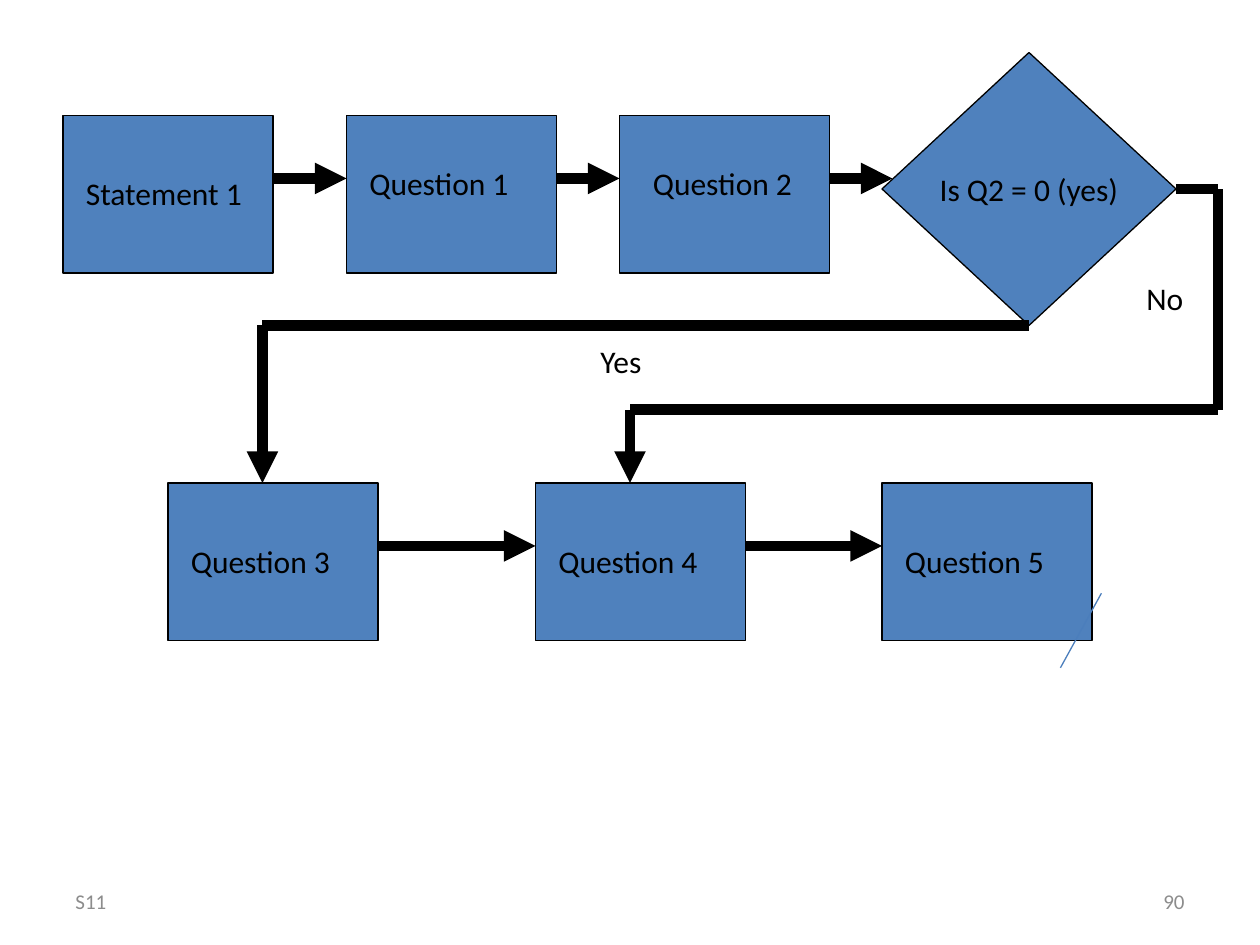
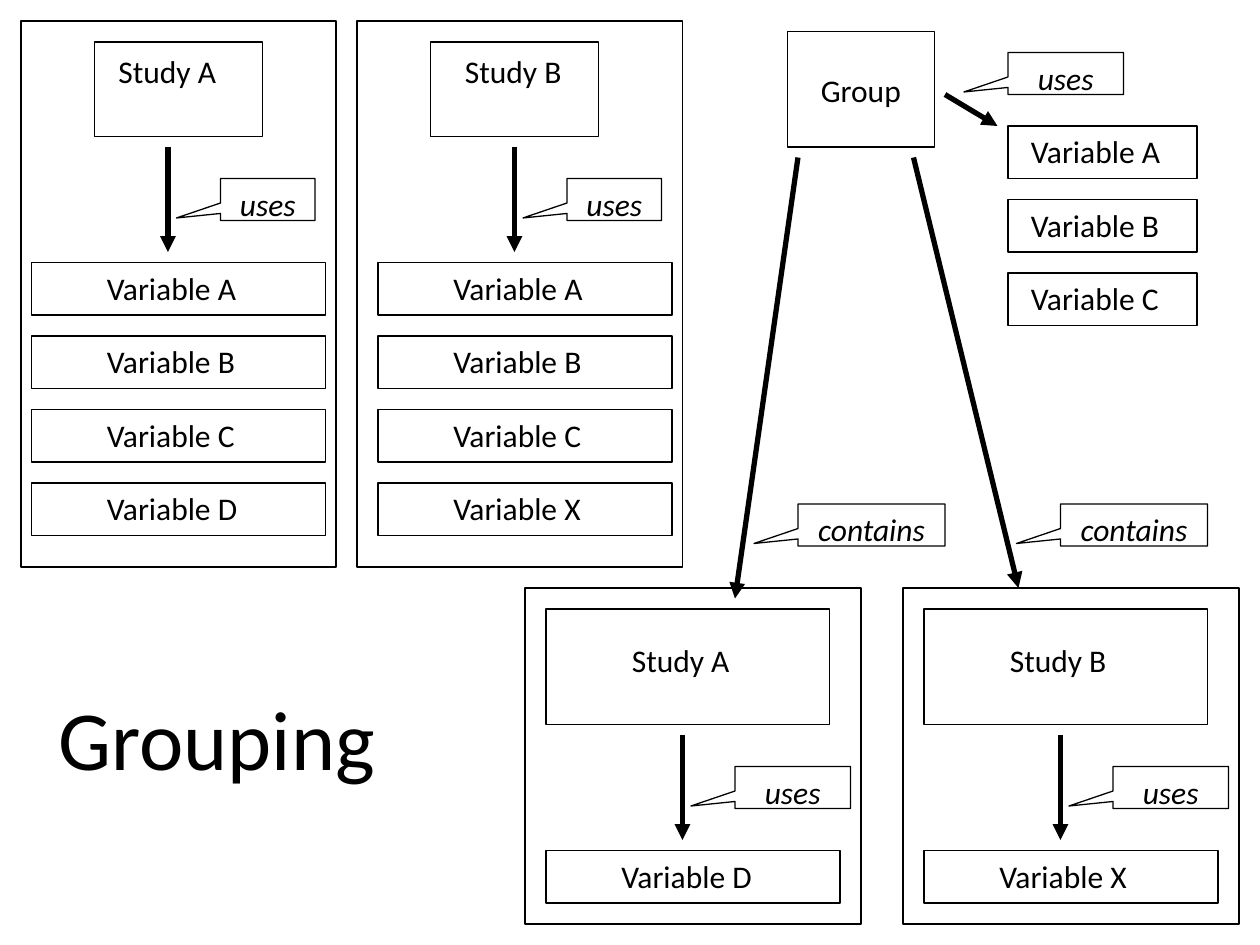
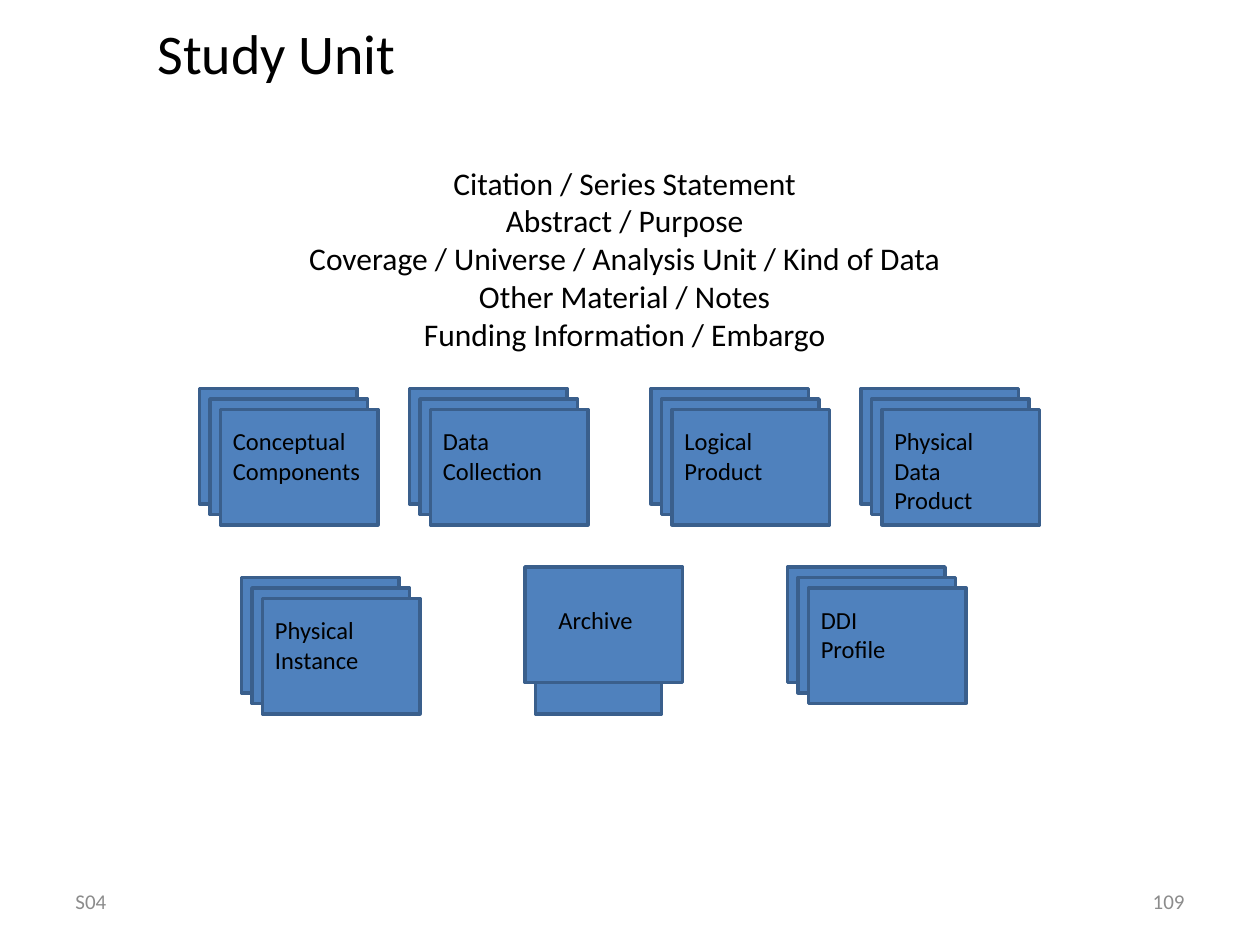
from dataclasses import dataclass
from itertools import pairwise
from typing import NamedTuple, Optional

from pptx import Presentation
from pptx.dml.color import RGBColor
from pptx.enum.shapes import MSO_CONNECTOR, MSO_SHAPE
from pptx.enum.text import MSO_ANCHOR, MSO_AUTO_SIZE, PP_ALIGN
from pptx.oxml.ns import qn
from pptx.oxml.xmlchemy import OxmlElement
from pptx.shapes.autoshape import Shape
from pptx.shapes.connector import Connector
from pptx.slide import Slide
from pptx.util import Emu, Pt

PX = 7620
FONT = "Calibri"
COLORS = {
    "ink": "000000",
    "blue": "4F81BD",
    "edge": "3A5F8C",
    "stroke": "4B7EBC",
    "muted": "8C8C8C",
}
LABEL_HEIGHT = 48
CALLOUT_HEIGHT = 40
CALLOUT_REACH = 42
VARIABLE_HEIGHT = 50
VARIABLE_STEP = 70
CARD_STEP = 10


class Box(NamedTuple):
    """A rectangle in px."""

    left: int
    top: int
    width: int
    height: int


class Point(NamedTuple):
    """A position in px."""

    x: int
    y: int


@dataclass(frozen=True)
class TextStyle:
    """How the runs and paragraphs of a box look."""

    size: int = 18
    color: str = "ink"
    italic: bool = False
    align: PP_ALIGN = PP_ALIGN.LEFT
    anchor: MSO_ANCHOR = MSO_ANCHOR.TOP
    wrap: bool = False
    grow: bool = True


@dataclass(frozen=True)
class ShapeStyle:
    """Fill and outline of a shape."""

    fill: Optional[str] = None
    line: str = "ink"
    weight: float = 0.75


@dataclass(frozen=True)
class Step:
    """A flowchart box with its label."""

    text: str
    left: int
    top: int
    label: Box


@dataclass(frozen=True)
class Study:
    """A study column listing all its variables."""

    name: str
    shift: int
    frame: Box
    title_left: int
    variables: str


@dataclass(frozen=True)
class Member:
    """A study held by the group, with its own variable."""

    name: str
    shift: int
    variable: str


@dataclass(frozen=True)
class Stack:
    """A pile of three cards with a label on the front one."""

    lines: tuple[str, ...]
    left: int
    top: int
    label_width: int
    label_height: int = 68
    wrap: bool = False


LABEL = TextStyle()
CARD_LABEL = TextStyle(size=14)
OUTLINE = ShapeStyle()
FLOW = ShapeStyle(fill="blue")
CARD = ShapeStyle(fill="blue", line="edge", weight=2)

STEPS = (
    Step("Statement 1", 60, 110, Box(70, 160, 187, LABEL_HEIGHT)),
    Step("Question 1", 330, 110, Box(340, 150, 169, LABEL_HEIGHT)),
    Step("Question 2", 590, 110, Box(610, 150, 169, LABEL_HEIGHT)),
    Step("Question 3", 160, 460, Box(170, 510, 169, LABEL_HEIGHT)),
    Step("Question 4", 510, 460, Box(520, 510, 169, LABEL_HEIGHT)),
    Step("Question 5", 840, 460, Box(850, 510, 169, LABEL_HEIGHT)),
)
FLOW_ARROWS = (
    (Point(260, 170), Point(330, 170)),
    (Point(530, 170), Point(590, 170)),
    (Point(790, 170), Point(850, 170)),
    (Point(360, 520), Point(510, 520)),
    (Point(710, 520), Point(840, 520)),
)
YES_ROUTE = (Point(980, 310), Point(250, 310), Point(250, 460))
NO_ROUTE = (
    Point(1120, 180), Point(1160, 180), Point(1160, 390),
    Point(600, 390), Point(600, 460),
)
STUDIES = (
    Study("Study A", 0, Box(20, 20, 300, 520), 90, "ABCD"),
    Study("Study B", 330, Box(340, 20, 310, 520), 410, "ABCX"),
)
MEMBERS = (Member("Study A", 0, "D"), Member("Study B", 360, "X"))
STACKS = (
    Stack(("Conceptual", "Components"), 190, 370, 157),
    Stack(("Data", "Collection"), 390, 370, 127),
    Stack(("Logical", "Product"), 620, 370, 106),
    Stack(("Physical", "Data", "Product"), 820, 370, 168, 97, True),
    Stack(("Physical", "Instance"), 230, 550, 119),
    Stack(("DDI", "Profile"), 750, 540, 91),
)
SUMMARY = (
    "Citation / Series Statement",
    "Abstract / Purpose",
    "Coverage / Universe / Analysis Unit / Kind of Data",
    "Other Material / Notes",
    "Funding Information / Embargo",
)


def emu(*lengths: int) -> list[Emu]:
    """Turn px lengths into EMU."""
    return [Emu(length * PX) for length in lengths]


def rgb(name: str) -> RGBColor:
    """Look up a named colour."""
    return RGBColor.from_string(COLORS[name])


def write(shape: Shape, lines: tuple[str, ...], style: TextStyle) -> None:
    """Fill a shape with one paragraph per line."""
    frame = shape.text_frame
    frame.word_wrap = style.wrap
    frame.vertical_anchor = style.anchor
    if style.grow:
        frame.auto_size = MSO_AUTO_SIZE.SHAPE_TO_FIT_TEXT
    for index, line in enumerate(lines):
        para = frame.add_paragraph() if index else frame.paragraphs[0]
        para.alignment = style.align
        span = para.add_run()
        span.text = line
        span.font.name = FONT
        span.font.size = Pt(style.size)
        span.font.italic = style.italic
        span.font.color.rgb = rgb(style.color)


def add_text(page: Slide, box: Box, *lines: str, style: TextStyle = LABEL) -> None:
    """Place a text box."""
    write(page.shapes.add_textbox(*emu(*box)), lines, style)


def paint(shape: Shape, style: ShapeStyle) -> None:
    """Apply fill and outline without a shadow."""
    shape.shadow.inherit = False
    if style.fill:
        shape.fill.solid()
        shape.fill.fore_color.rgb = rgb(style.fill)
    else:
        shape.fill.background()
    shape.line.color.rgb = rgb(style.line)
    shape.line.width = Pt(style.weight)


def add_box(page: Slide, box: Box, style: ShapeStyle = OUTLINE,
            kind: MSO_SHAPE = MSO_SHAPE.RECTANGLE) -> Shape:
    """Draw a preset shape."""
    shape = page.shapes.add_shape(kind, *emu(*box))
    paint(shape, style)
    return shape


def add_link(page: Slide, start: Point, end: Point, weight: int = 3,
             arrow: bool = True) -> Connector:
    """Draw a straight line, with an arrowhead at its end if wanted."""
    link = page.shapes.add_connector(MSO_CONNECTOR.STRAIGHT, *emu(*start, *end))
    link.line.color.rgb = rgb("ink")
    link.line.width = Pt(weight)
    properties = link.element.spPr
    if arrow:
        head = OxmlElement("a:tailEnd")
        head.set("type", "triangle")
        properties.find(qn("a:ln")).append(head)
    properties.append(OxmlElement("a:effectLst"))
    return link


def add_route(page: Slide, points: tuple[Point, ...], source: Shape, side: int) -> None:
    """Draw a bent route that leaves a shape and ends in an arrow."""
    legs = list(pairwise(points))
    links = [add_link(page, *leg, weight=6, arrow=leg == legs[-1]) for leg in legs]
    links[0].begin_connect(source, side)


def add_callout(page: Slide, left: int, top: int, width: int, text: str) -> None:
    """Draw a speech box whose tip points left by a fixed reach."""
    callout = add_box(page, Box(left, top, width, CALLOUT_HEIGHT),
                      kind=MSO_SHAPE.RECTANGULAR_CALLOUT)
    callout.adjustments[0] = -0.5 - CALLOUT_REACH / width
    callout.adjustments[1] = 0.44
    write(callout, (text,), TextStyle(italic=True, align=PP_ALIGN.CENTER,
                                      wrap=True, grow=False))


def add_variables(page: Slide, left: int, top: int, width: int,
                  indent: int, letters: str) -> None:
    """Draw a column of variable boxes."""
    for row, letter in enumerate(letters):
        y = top + row * VARIABLE_STEP
        add_box(page, Box(left, y, width, VARIABLE_HEIGHT))
        add_text(page, Box(left + indent, y, 163, LABEL_HEIGHT), f"Variable {letter}")


def add_footer(page: Slide, section: str, number: str) -> None:
    """Write the section code and the page number."""
    for left, text, align in ((60, section, PP_ALIGN.LEFT), (860, number, PP_ALIGN.RIGHT)):
        add_text(page, Box(left, 834, 280, LABEL_HEIGHT), text,
                 style=TextStyle(size=12, color="muted", align=align,
                                 anchor=MSO_ANCHOR.MIDDLE, wrap=True, grow=False))


def draw_question_flow(page: Slide) -> None:
    """Draw the flowchart of questions."""
    for step in STEPS:
        add_box(page, Box(step.left, step.top, 200, 150), FLOW)
        add_text(page, step.label, step.text)
    decision = add_box(page, Box(840, 50, 280, 260), FLOW, MSO_SHAPE.DIAMOND)
    write(decision, ("Is Q2 = 0 (yes)",),
          TextStyle(align=PP_ALIGN.CENTER, anchor=MSO_ANCHOR.MIDDLE, grow=False))
    for start, end in FLOW_ARROWS:
        add_link(page, start, end, weight=6)
    add_route(page, YES_ROUTE, decision, 2)
    add_route(page, NO_ROUTE, decision, 3)
    add_text(page, Box(560, 320, 76, LABEL_HEIGHT), "Yes")
    add_text(page, Box(1080, 260, 62, LABEL_HEIGHT), "No")
    builder = page.shapes.build_freeform(1010, 636, scale=PX)
    builder.add_line_segments([(1049, 565)], close=False)
    paint(builder.convert_to_shape(), ShapeStyle(line="stroke"))
    add_footer(page, "S11", "90")


def draw_study(page: Slide, study: Study) -> None:
    """Draw a full study column."""
    shift = study.shift
    add_box(page, study.frame)
    add_box(page, Box(study.title_left, 40, 160, 90))
    add_text(page, Box(101 + shift, 44, 130, LABEL_HEIGHT), study.name)
    add_variables(page, 30 + shift, 250, 280, 60, study.variables)
    add_link(page, Point(160 + shift, 140), Point(160 + shift, 240))
    add_callout(page, 210 + shift, 170, 90, "uses")


def draw_member(page: Slide, member: Member) -> None:
    """Draw a study contained in the group."""
    shift = member.shift
    add_box(page, Box(500 + shift, 560, 320, 320))
    add_box(page, Box(520 + shift, 580, 270, 110))
    add_text(page, Box(590 + shift, 605, 130, LABEL_HEIGHT), member.name)
    add_variables(page, 520 + shift, 810, 280, 60, member.variable)
    add_link(page, Point(650 + shift, 700), Point(650 + shift, 800))
    add_callout(page, 700 + shift, 730, 110, "uses")


def draw_grouping(page: Slide) -> None:
    """Draw two studies and the group that shares their variables."""
    for study in STUDIES:
        draw_study(page, study)
    add_box(page, Box(750, 30, 140, 110))
    add_text(page, Box(770, 62, 108, LABEL_HEIGHT), "Group")
    add_variables(page, 960, 120, 180, 10, "ABC")
    add_link(page, Point(900, 90), Point(950, 120))
    add_callout(page, 960, 50, 110, "uses")
    for member in MEMBERS:
        draw_member(page, member)
    add_link(page, Point(760, 150), Point(700, 570))
    add_link(page, Point(870, 150), Point(970, 560))
    for left in (760, 1010):
        add_callout(page, left, 480, 140, "contains")
    add_text(page, Box(42, 648, 329, 109), "Grouping",
             style=TextStyle(size=48, align=PP_ALIGN.CENTER))


def draw_stack(page: Slide, stack: Stack) -> None:
    """Draw three cards, each one step further down and right."""
    for depth in range(3):
        offset = depth * CARD_STEP
        add_box(page, Box(stack.left + offset, stack.top + offset, 150, 110), CARD)
    add_text(page, Box(stack.left + 2 * CARD_STEP, stack.top + 3 * CARD_STEP,
                       stack.label_width, stack.label_height),
             *stack.lines, style=TextStyle(size=14, wrap=stack.wrap))


def draw_study_unit(page: Slide) -> None:
    """Draw the parts of a study unit."""
    add_text(page, Box(138, 12, 270, 76), "Study Unit", style=TextStyle(size=32))
    add_text(page, Box(230, 150, 730, 194), *SUMMARY,
             style=TextStyle(align=PP_ALIGN.CENTER, wrap=True))
    for stack in STACKS:
        draw_stack(page, stack)
    add_box(page, Box(510, 560, 120, 120), CARD)
    add_box(page, Box(500, 540, 150, 110), CARD)
    add_text(page, Box(520, 570, 103, 41), "Archive", style=CARD_LABEL)
    add_footer(page, "S04", "109")


def main() -> None:
    """Build and save the deck."""
    deck = Presentation()
    deck.slide_width, deck.slide_height = emu(1200, 900)
    for draw in (draw_question_flow, draw_grouping, draw_study_unit):
        draw(deck.slides.add_slide(deck.slide_layouts[6]))
    deck.save("out.pptx")


if __name__ == "__main__":
    main()
